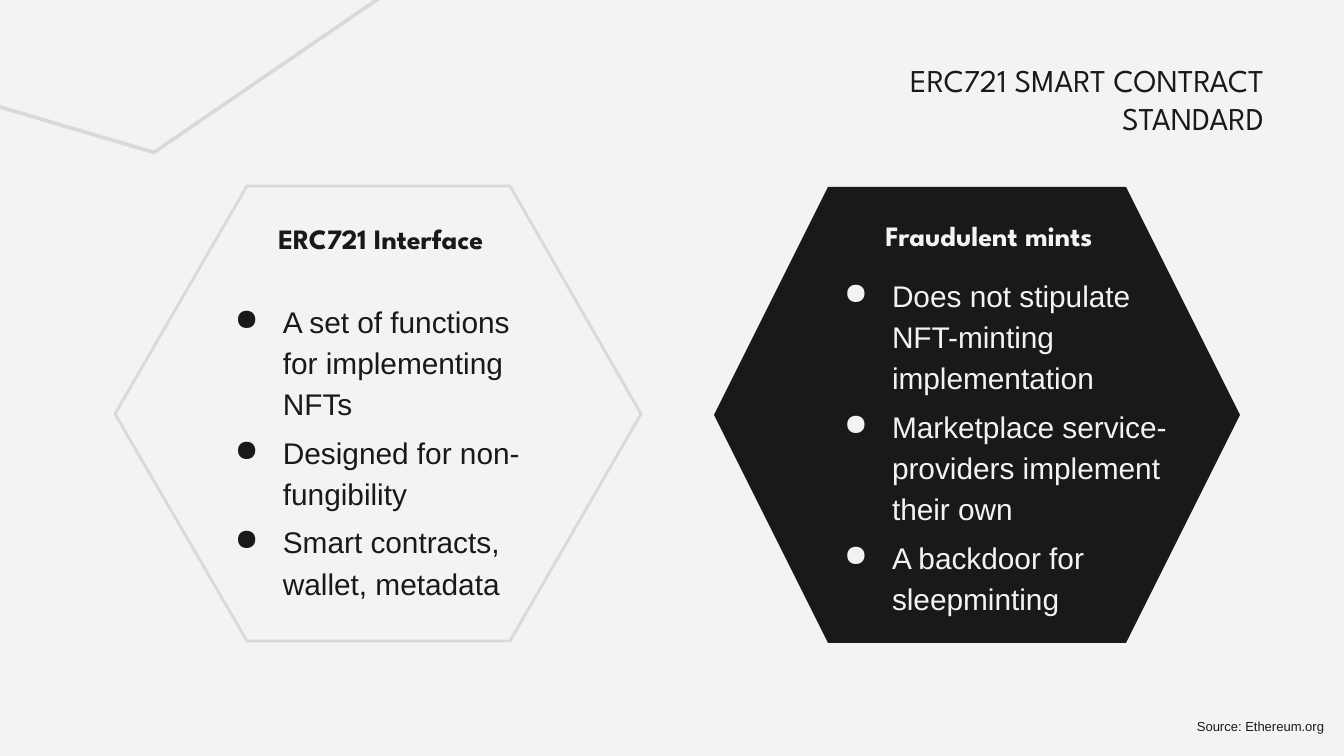
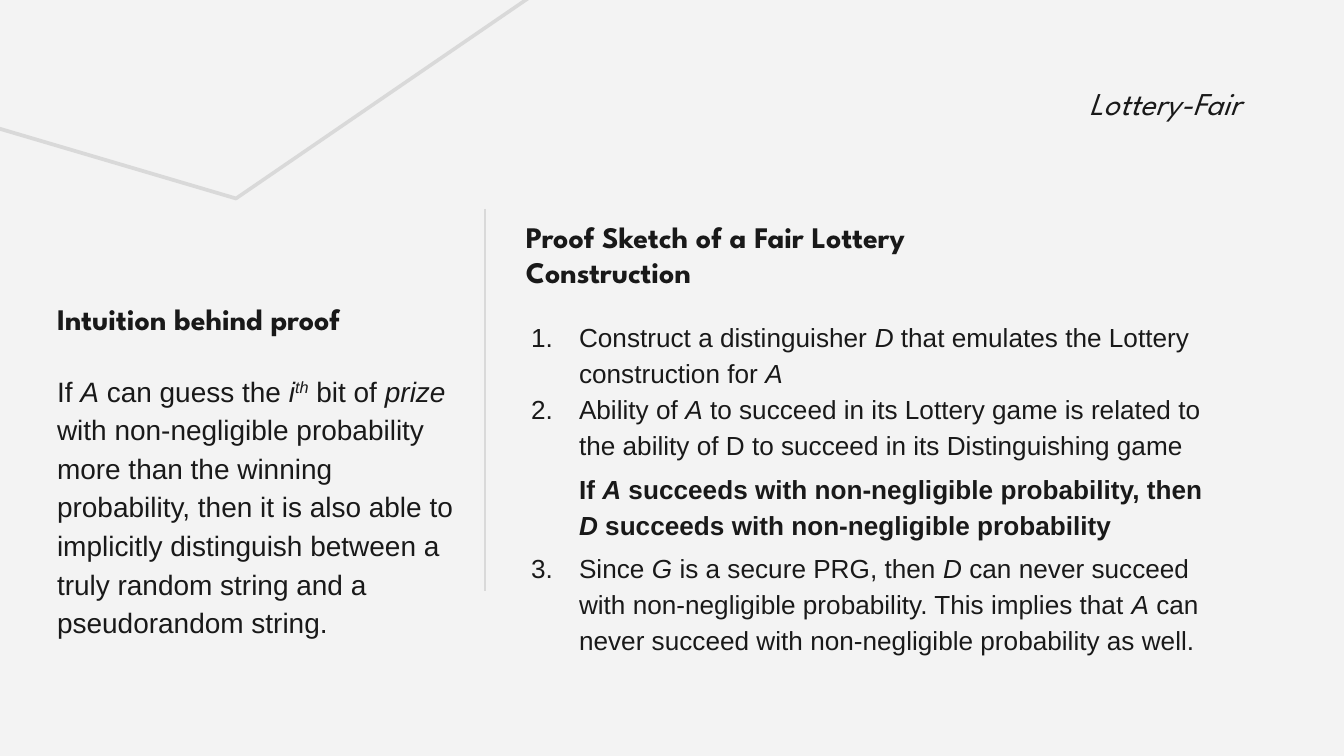
from lxml.etree import SubElement
from pptx import Presentation
from pptx.dml.color import RGBColor
from pptx.enum.shapes import MSO_CONNECTOR, MSO_SHAPE
from pptx.enum.text import MSO_ANCHOR, PP_ALIGN
from pptx.oxml.ns import qn
from pptx.util import Pt

# Shared style
EMU_PER_PX = 914400 / 134.4
PAPER = RGBColor(0xF3, 0xF3, 0xF3)
INK = RGBColor(0x19, 0x19, 0x19)
RULE = RGBColor(0xD9, 0xD9, 0xD9)
HEAD_FONT = "League Spartan"
BODY_FONT = "Arial"
RULE_WIDTH = Pt(1.5)
INSET = 13
LIST_MARGIN = 67
HANGING = -48


def px(length):
    return round(length * EMU_PER_PX)


def add_page(deck):
    page = deck.slides.add_slide(deck.slide_layouts[6])
    page.background.fill.solid()
    page.background.fill.fore_color.rgb = PAPER
    return page


# Text
def add_frame(page, box, anchor=MSO_ANCHOR.TOP):
    frame = page.shapes.add_textbox(*map(px, box)).text_frame
    frame.word_wrap = True
    frame.vertical_anchor = anchor
    frame.margin_left = frame.margin_right = px(INSET)
    frame.margin_top = frame.margin_bottom = px(INSET)
    return frame


def style(paragraph, font, size, color, bold=None, italic=None):
    paragraph.font.name = font
    paragraph.font.size = Pt(size)
    paragraph.font.color.rgb = color
    paragraph.font.bold = bold
    paragraph.font.italic = italic


def add_runs(paragraph, text):
    """Write text in which *stars* mark italics and ^ starts a superscript."""
    for index, piece in enumerate(text.split("*")):
        base, _, raised = piece.partition("^")
        for part, baseline in ((base, None), (raised, "30000")):
            if not part:
                continue
            run = paragraph.add_run()
            run.text = part
            if index % 2:
                run.font.italic = True
            if baseline:
                run.font._element.set("baseline", baseline)


def add_title(page, text, box, italic=None):
    paragraph = add_frame(page, box).paragraphs[0]
    paragraph.text = text
    paragraph.alignment = PP_ALIGN.RIGHT
    style(paragraph, HEAD_FONT, 17, INK, italic=italic)


def add_heading(page, text, box, size, color=INK, align=PP_ALIGN.LEFT):
    paragraph = add_frame(page, box, MSO_ANCHOR.BOTTOM).paragraphs[0]
    paragraph.text = text
    paragraph.alignment = align
    style(paragraph, HEAD_FONT, size, color, bold=True)


def add_body(page, text, box, size, align=PP_ALIGN.LEFT):
    paragraph = add_frame(page, box).paragraphs[0]
    add_runs(paragraph, text)
    paragraph.alignment = align
    paragraph.line_spacing = 1.15
    style(paragraph, BODY_FONT, size, INK)


def set_marker(paragraph, color, tag, **settings):
    properties = paragraph._p.get_or_add_pPr()
    properties.set("indent", str(px(HANGING)))
    marker_color = SubElement(properties, qn("a:buClr"))
    SubElement(marker_color, qn("a:srgbClr")).set("val", str(color))
    marker = SubElement(properties, qn(tag))
    for key, value in settings.items():
        marker.set(key, value)


def add_list_item(frame, text, size, color, space_before=0, bold=None,
                  number=None, bullet=None):
    first = frame.paragraphs[0]
    paragraph = frame.add_paragraph() if first.runs else first
    add_runs(paragraph, text)
    paragraph.line_spacing = 1.15
    paragraph.space_before = Pt(space_before)
    properties = paragraph._p.get_or_add_pPr()
    properties.set("marL", str(px(LIST_MARGIN)))
    properties.set("indent", "0")
    if bullet:
        set_marker(paragraph, color, "a:buChar", char=bullet)
    elif number:
        set_marker(paragraph, color, "a:buAutoNum", type="arabicPeriod",
                   startAt=str(number))
    style(paragraph, BODY_FONT, size, color, bold=bold)


def add_bullets(page, items, box, color):
    frame = add_frame(page, box)
    for index, item in enumerate(items):
        add_list_item(frame, item, 16, color, 4 if index else 0, bullet="●")


# Outlines and lines
def add_outline(page, points, fill=None):
    builder = page.shapes.build_freeform(*points[0], scale=EMU_PER_PX)
    builder.add_line_segments(points[1:], close=True)
    outline = builder.convert_to_shape()
    outline.shadow.inherit = False
    if fill is None:
        outline.fill.background()
    else:
        outline.fill.solid()
        outline.fill.fore_color.rgb = fill
    outline.line.color.rgb = RULE
    outline.line.width = RULE_WIDTH


def add_corner_fold(page, x, y):
    upper = [(x + 413, y - 284), (x, y - 1), (x - 271, y - 81)]
    lower = [(left, top + 1) for left, top in reversed(upper)]
    add_outline(page, upper + lower, RULE)


def add_divider(page, x, top, bottom):
    divider = page.shapes.add_connector(
        MSO_CONNECTOR.STRAIGHT, px(x), px(top), px(x), px(bottom))
    divider.line.color.rgb = RULE
    divider.line.width = RULE_WIDTH
    SubElement(divider._element.spPr, qn("a:effectLst"))


# Slides
def build_standard(deck):
    page = add_page(deck)
    add_outline(page, [(247, 186), (115, 414), (247, 641),
                       (510, 641), (641, 414), (510, 186)])
    add_title(page, "ERC721 SMART CONTRACT STANDARD", (870, 48, 407, 138))
    add_bullets(page, ["A set of functions for implementing NFTs",
                       "Designed for non-fungibility",
                       "Smart contracts, wallet, metadata"],
                (203, 285, 358, 323), INK)
    add_heading(page, "ERC721 Interface", (243, 214, 276, 54), 15,
                align=PP_ALIGN.CENTER)

    # Dark hexagon
    fraud = page.shapes.add_shape(
        MSO_SHAPE.HEXAGON, *map(px, (714, 187, 526, 456)))
    fraud.adjustments[0] = 0.25
    fraud.shadow.inherit = False
    fraud.fill.solid()
    fraud.fill.fore_color.rgb = INK
    fraud.line.fill.background()
    add_bullets(page, ["Does not stipulate NFT-minting implementation",
                       "Marketplace service-providers implement their own",
                       "A backdoor for sleepminting"],
                (812, 259, 379, 360), PAPER)
    add_heading(page, "Fraudulent mints", (851, 211, 276, 54), 15, PAPER,
                PP_ALIGN.CENTER)

    add_corner_fold(page, 154, 153)
    add_body(page, "Source: Ethereum.org", (1150, 707, 187, 34), 7,
             PP_ALIGN.RIGHT)


def build_lottery(deck):
    page = add_page(deck)
    add_title(page, "Lottery-Fair", (913, 71, 341, 138), italic=True)
    add_corner_fold(page, 236, 199)

    # Intuition
    add_heading(page, "Intuition behind proof", (44, 255, 402, 95), 16)
    add_body(page, "If *A* can guess the *i^th* bit of *prize* with "
             "non-negligible probability more than the winning probability, "
             "then it is also able to implicitly distinguish between a truly "
             "random string and a pseudorandom string.",
             (44, 356, 439, 284), 15)
    add_divider(page, 485, 209, 591)

    # Proof steps
    add_heading(page, "Proof Sketch of a Fair Lottery Construction",
                (513, 208, 458, 95), 16)
    steps = add_frame(page, (499, 304, 722, 402))
    add_list_item(steps, "Construct a distinguisher *D* that emulates the "
                  "Lottery construction for *A*", 14, INK, number=1)
    add_list_item(steps, "Ability of *A* to succeed in its Lottery game is "
                  "related to the ability of D to succeed in its "
                  "Distinguishing game", 14, INK, number=2)
    add_list_item(steps, "If *A* succeeds with non-negligible probability, "
                  "then *D* succeeds with non-negligible probability",
                  14, INK, 4, bold=True)
    add_list_item(steps, "Since *G* is a secure PRG, then *D* can never "
                  "succeed with non-negligible probability. This implies "
                  "that *A* can never succeed with non-negligible "
                  "probability as well.", 14, INK, 4, number=3)


def main():
    deck = Presentation()
    deck.slide_width, deck.slide_height = px(1344), px(756)
    build_standard(deck)
    build_lottery(deck)
    deck.save("out.pptx")


if __name__ == "__main__":
    main()
